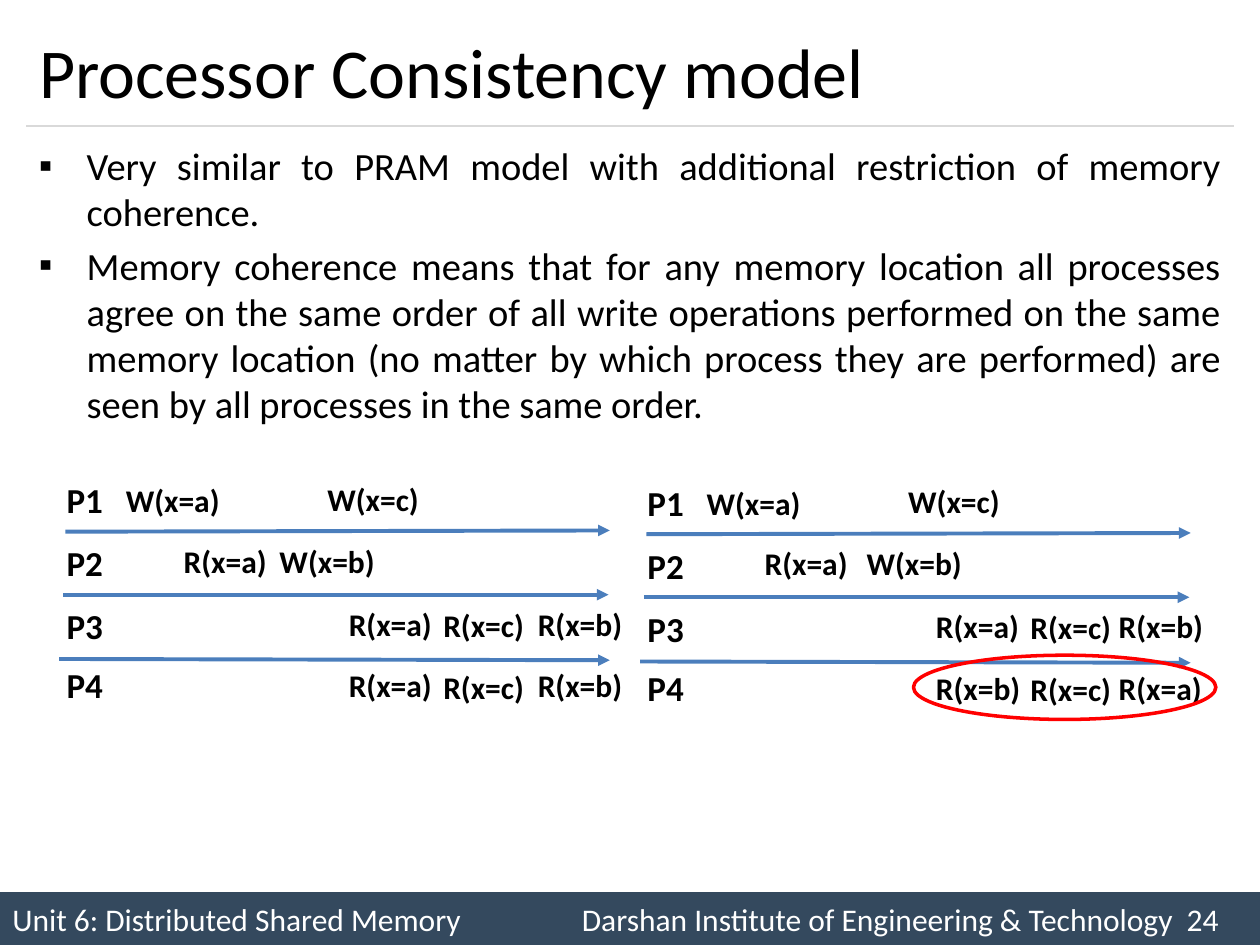
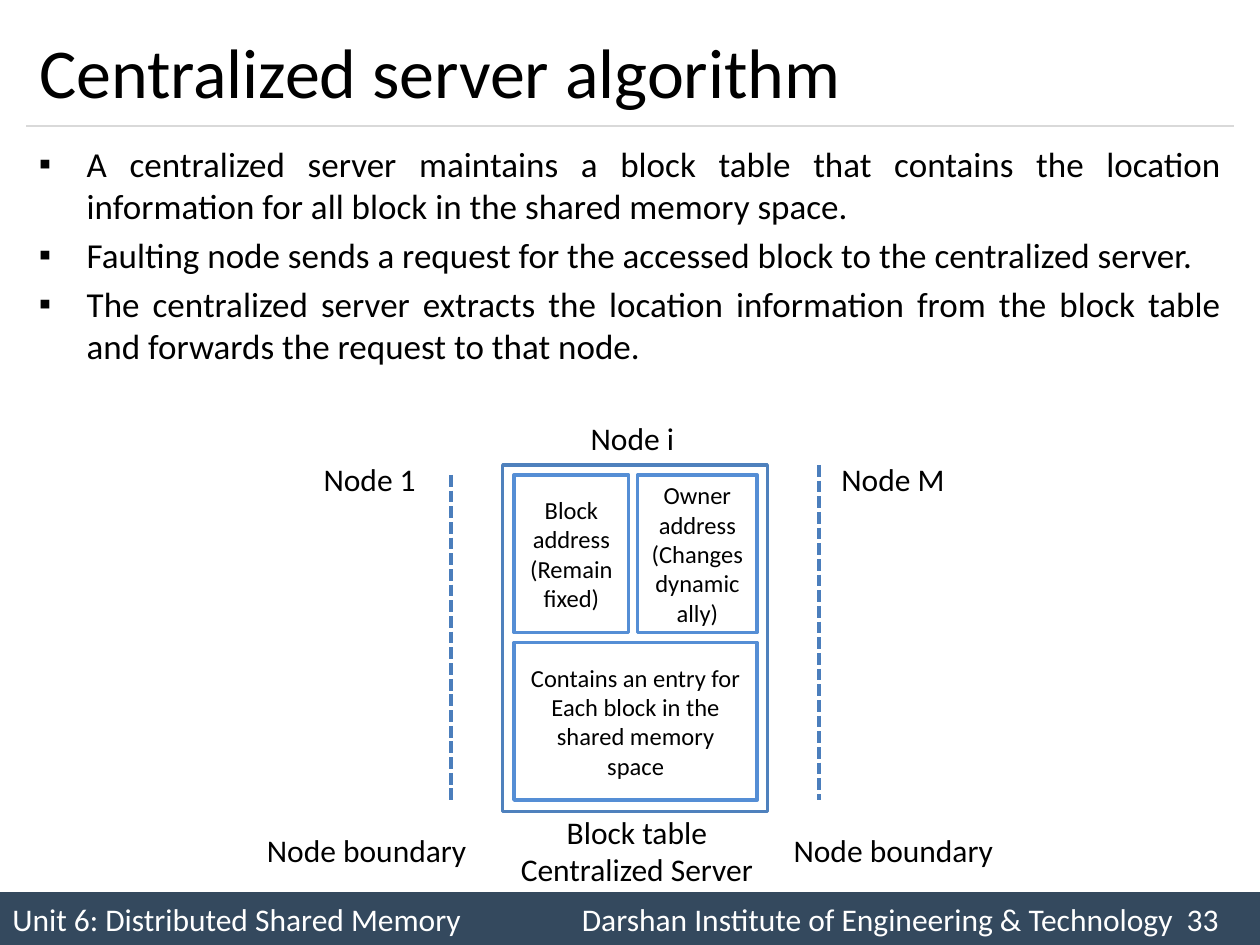
"""Build two slides on distributed shared memory."""
import pptx
import pptx.dml.color
import pptx.enum.dml
import pptx.enum.shapes
import pptx.enum.text
import pptx.oxml
import pptx.oxml.ns
import pptx.util

RGB = pptx.dml.color.RGBColor
BLACK = RGB(0, 0, 0)
WHITE = RGB(0xFF, 0xFF, 0xFF)
SLATE = RGB(0x34, 0x49, 0x5E)
GREY = RGB(0xD9, 0xD9, 0xD9)
BLUE = RGB(0x4B, 0x7E, 0xBC)
FRAME = RGB(0x4F, 0x81, 0xBD)
CELL = RGB(0x55, 0x8E, 0xD5)
RED = RGB(0xFF, 0, 0)

ALIGN = pptx.enum.text.PP_ALIGN
ANCHOR = pptx.enum.text.MSO_ANCHOR
FORM = pptx.enum.shapes.MSO_SHAPE
DASH = pptx.enum.dml.MSO_LINE.SQUARE_DOT
SCALE = 9144
WIDE, HIGH = 1000, 750
EDGE = 21


def px(*sizes):
    return [size * SCALE for size in sizes]


def node(tag, **pairs):
    part = pptx.oxml.parse_xml(f"<a:{tag} {pptx.oxml.ns.nsdecls('a')}/>")
    for key, value in pairs.items():
        part.set(key, str(value))
    return part


def write(frame, text, size=18, color=BLACK, bold=False, align=ALIGN.LEFT,
          anchor=ANCHOR.TOP, wrap=True, bullet=None, tabs=(), gap=0):
    frame.word_wrap = wrap
    frame.auto_size = pptx.enum.text.MSO_AUTO_SIZE.NONE
    frame.vertical_anchor = anchor
    frame.text = text
    for index, para in enumerate(frame.paragraphs):
        props = para._p.get_or_add_pPr()
        if bullet:
            props.set("marL", str(38 * SCALE))
            props.set("indent", str(-38 * SCALE))
            props.append(node("buFont", typeface="Arial"))
            props.append(node("buChar", char=bullet))
        if tabs:
            stops = node("tabLst")
            for stop in tabs:
                stops.append(node("tab", pos=stop * SCALE, algn="l"))
            props.append(stops)
        para.alignment = align
        para.space_before = pptx.util.Pt(gap if index else 0)
        for run in para.runs:
            font = run.font
            font.name = "Calibri"
            font.size = pptx.util.Pt(size)
            font.bold = bold
            font.color.rgb = color


class Deck:
    """Hold the shared style and the current slide."""

    def __init__(self):
        self.show = pptx.Presentation()
        self.show.slide_width, self.show.slide_height = px(WIDE, HIGH)

    def start(self, title, number):
        self.slide = self.show.slides.add_slide(self.show.slide_layouts[5])
        self.shapes = self.slide.shapes
        head = self.shapes.title
        head.left, head.top, head.width, head.height = px(
            EDGE, 12, WIDE - 2 * EDGE, 88)
        write(head.text_frame, title, size=40, align=ALIGN.JUSTIFY,
              anchor=ANCHOR.MIDDLE)
        self.line(EDGE, 100, WIDE - EDGE, 100, color=GREY, width=0.75)
        band = self.shape(0, 708, WIDE, 42, fill=SLATE)
        write(band.text_frame,
              "Unit 6: Distributed Shared Memory\t"
              f"Darshan Institute of Engineering & Technology\t{number}",
              color=WHITE, anchor=ANCHOR.MIDDLE, tabs=(452, 932))

    def shape(self, x, y, w, h, form=FORM.RECTANGLE, fill=None, line=None):
        item = self.shapes.add_shape(form, *px(x, y, w, h))
        item.shadow.inherit = False
        if fill is None:
            item.fill.background()
        else:
            item.fill.solid()
            item.fill.fore_color.rgb = fill
        if line is None:
            item.line.fill.background()
        else:
            item.line.color.rgb = line
            item.line.width = pptx.util.Pt(2)
        return item

    def cell(self, x, y, w, h, text):
        box = self.shape(x, y, w, h, fill=WHITE, line=CELL)
        write(box.text_frame, text, size=14, align=ALIGN.CENTER,
              anchor=ANCHOR.MIDDLE)

    def line(self, x1, y1, x2, y2, color=BLUE, width=2.25, dash=None,
             arrow=False):
        item = self.shapes.add_connector(
            pptx.enum.shapes.MSO_CONNECTOR.STRAIGHT, *px(x1, y1, x2, y2))
        item.line.color.rgb = color
        item.line.width = pptx.util.Pt(width)
        if dash:
            item.line.dash_style = dash
        props = item._element.spPr
        if arrow:
            props.find(pptx.oxml.ns.qn("a:ln")).append(
                node("tailEnd", type="triangle"))
        props.append(node("effectLst"))

    def label(self, x, y, w, h, text, **style):
        box = self.shapes.add_textbox(*px(x, y, w, h))
        write(box.text_frame, text, wrap=False, **style)

    def list(self, height, size, *points):
        box = self.shapes.add_textbox(*px(EDGE, 108, WIDE - 2 * EDGE, height))
        write(box.text_frame, "\n".join(points), size=size,
              align=ALIGN.JUSTIFY, bullet="▪", gap=4)


def trace(deck, dx, dy, shift, last):
    for x1, y1, x2, y2 in ((52, 422, 484, 421), (50, 472, 483, 472),
                           (47, 523, 484, 524)):
        deck.line(x1 + dx, y1 + dy, x2 + dx, y2 + dy, arrow=True)
    for number, y in enumerate((375, 425, 475, 522), 1):
        deck.label(43 + dx, y + dy, 49, 44, f"P{number}", size=20, bold=True)
    marks = [("W(x=a)", 90, 377), ("W(x=c)", 250, 376),
             ("R(x=a)", 136, 425), ("W(x=b)", 212 + shift, 425)]
    for names, y in (("acb", 475), (last, 524)):
        places = (267 + shift, 342 + shift, 417)
        for name, x, drop in zip(names, places, (0, 1, 0)):
            marks.append((f"R(x={name})", x, y + drop))
    for text, x, y in marks:
        width = 96 if text[0] == "W" else 87
        deck.label(x + dx, y + dy, width, 40, text, bold=True)


def model(deck):
    deck.start("Processor Consistency model", 24)
    deck.list(
        260, 22,
        "Very similar to PRAM model with additional restriction of memory "
        "coherence.",
        "Memory coherence means that for any memory location all processes "
        "agree on the same order of all write operations performed on the "
        "same memory location (no matter by which process they are performed) "
        "are seen by all processes in the same order.")
    trace(deck, 0, 0, 0, "acb")
    trace(deck, 461, 2, 5, "bca")
    deck.shape(725, 520, 240, 51, form=FORM.OVAL, line=RED)


def server(deck):
    deck.start("Centralized server algorithm", 33)
    deck.list(
        230, 20,
        "A centralized server maintains a block table that contains the "
        "location information for all block in the shared memory space.",
        "Faulting node sends a request for the accessed block to the "
        "centralized server.",
        "The centralized server extracts the location information from the "
        "block table and forwards the request to that node.")
    deck.shape(399, 369, 210, 275, fill=WHITE, line=FRAME)
    deck.cell(408, 377, 91, 125, "Block address\n(Remain fixed)")
    deck.cell(506, 377, 95, 125, "Owner address\n(Changes dynamically)")
    deck.cell(408, 510, 193, 125,
              "Contains an entry for\nEach block in the shared memory\nspace")
    for x, top in ((358, 377), (650, 369)):
        deck.line(x, top, x, 635, dash=DASH)
    for x, y, w, text in ((247, 360, 94, "Node 1"), (459, 328, 87, "Node i"),
                          (658, 360, 103, "Node M"),
                          (202, 655, 181, "Node boundary"),
                          (620, 655, 181, "Node boundary")):
        deck.label(x, y, w, 40, text)
    deck.label(402, 640, 207, 71, "Block table\nCentralized Server",
               align=ALIGN.CENTER)


def main():
    deck = Deck()
    model(deck)
    server(deck)
    deck.show.save("out.pptx")


if __name__ == "__main__":
    main()
